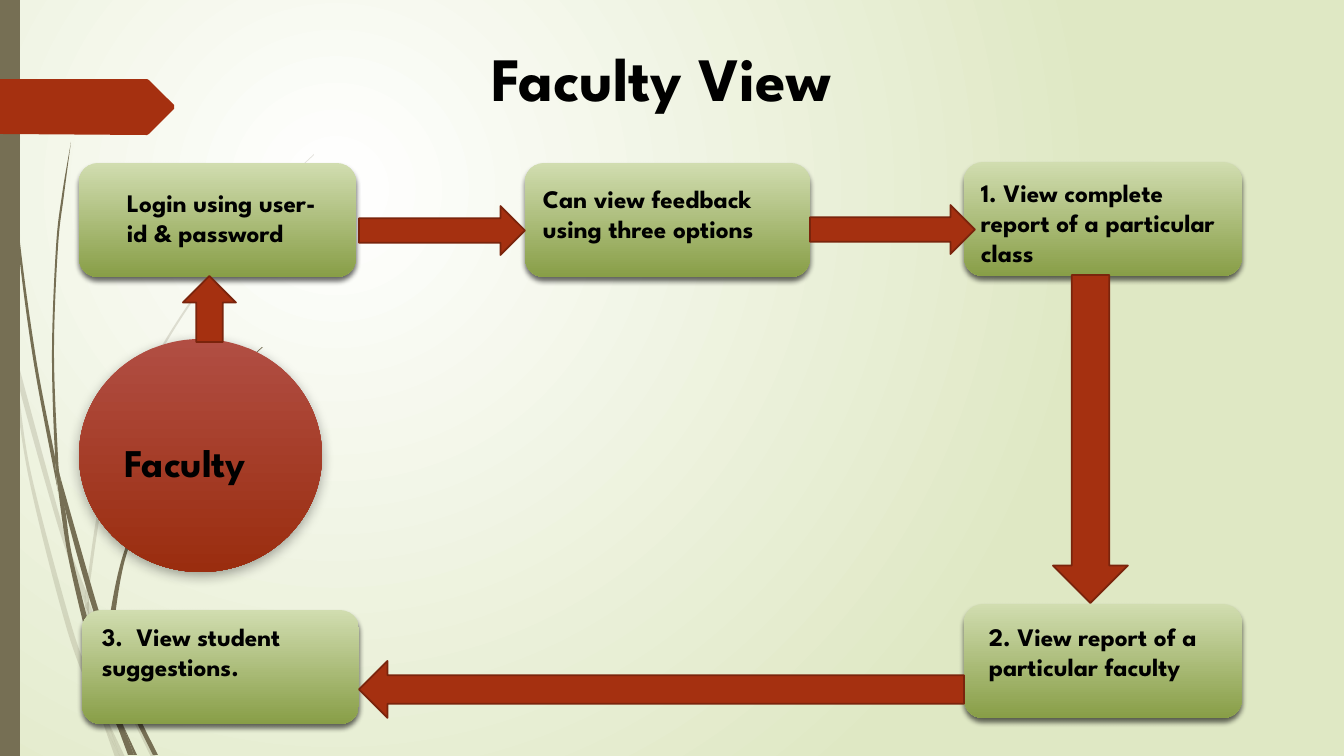
from lxml.etree import SubElement
from pptx import Presentation
from pptx.dml.color import RGBColor
from pptx.enum.shapes import MSO_SHAPE
from pptx.enum.text import MSO_ANCHOR, MSO_AUTO_SIZE, PP_ALIGN
from pptx.oxml.ns import qn
from pptx.util import Emu, Pt

COLORS = {
    "white": "FFFFFF", "black": "000000", "meadow": "DFE8C4", "stem": "766F54",
    "rust": "A53010", "rust_edge": "7A240C", "leaf_top": "D1DDB0",
    "leaf_bottom": "889E47", "clay_top": "B14E43", "clay_bottom": "9A2D0F",
}
FONT = "League Spartan"
PX = 914400 / 100.8
SLIDE_W, SLIDE_H = 1344, 756

PALE_BLADES = [
    ([(11, 353), (9, 325), (0, 284)], [(0, 301), (10, 347), (11, 353)]),
    ([(14, 348), (17, 379), (58, 526), (85, 604)], [(86, 591), (62, 524), (14, 348)]),
    ([(89, 601), (89, 615), (124, 700), (151, 757)],
     [(156, 757), (128, 698), (93, 612), (89, 601)]),
    ([(106, 717), (120, 757)], [(125, 757), (106, 717)]),
    ([(11, 353), (28, 474), (66, 626), (93, 699), (102, 720)],
     [(100, 713), (94, 688), (71, 624), (31, 473), (17, 379), (11, 353)]),
    ([(85, 604), (88, 651), (94, 688), (97, 698), (106, 717)],
     [(104, 712), (92, 651), (89, 615), (89, 613), (85, 604)]),
    ([(89, 589), (111, 466), (161, 352), (231, 247), (270, 200), (292, 176), (314, 155)],
     [(314, 154), (291, 176), (270, 199), (230, 246), (159, 351), (108, 465),
      (86, 589), (86, 591), (89, 601), (89, 589)]),
    ([(102, 720), (115, 757)], [(120, 757), (102, 720)]),
    ([(89, 613), (89, 615), (89, 601)], [(86, 591), (85, 604), (89, 613)]),
    ([(94, 688), (100, 713), (102, 720), (120, 757)],
     [(120, 757), (106, 717), (97, 698), (94, 688)]),
]
DARK_BLADES = [
    ([(3, 0), (4, 48), (7, 111), (17, 235), (33, 358), (56, 481), (57, 485)],
     [(55, 461), (55, 457), (36, 358), (19, 234), (8, 110), (5, 48), (4, 0)]),
    ([(60, 476), (65, 509), (89, 597), (107, 650)],
     [(107, 638), (107, 636), (94, 595), (60, 476)]),
    ([(111, 646), (112, 661), (133, 714), (153, 755)],
     [(158, 755), (137, 712), (114, 654), (111, 646)]),
    ([(57, 481), (69, 561), (94, 664), (112, 714), (118, 728)],
     [(117, 723), (111, 697), (99, 662), (73, 560), (65, 509), (57, 481)]),
    ([(71, 142), (62, 195), (56, 247), (52, 352), (55, 453), (60, 476)],
     [(60, 476), (58, 457), (54, 352), (58, 247), (64, 195), (71, 142)]),
    ([(123, 725), (134, 755)], [(137, 755), (123, 725)]),
    ([(55, 453), (55, 457), (57, 481), (65, 509)], [(60, 476), (55, 453)]),
    ([(112, 638), (126, 556), (159, 480), (207, 409), (233, 377), (247, 362), (263, 347)],
     [(262, 347), (247, 361), (233, 376), (206, 408), (157, 478), (123, 555),
      (107, 636), (111, 646), (112, 638)]),
    ([(118, 728), (128, 755)], [(132, 755), (118, 728)]),
    ([(107, 650), (111, 697), (117, 712), (123, 725)],
     [(122, 722), (112, 661), (110, 656), (107, 650)]),
    ([(107, 650), (110, 656), (112, 661)], [(111, 646), (107, 636), (107, 638), (107, 650)]),
    ([(111, 697), (117, 723), (118, 728), (131, 755)],
     [(134, 755), (123, 725), (117, 712), (111, 697)]),
]
SPINE = (0, 0, 20, 756)
FLAG = [(0, 79), (147, 79), (149, 80), (174, 105), (174, 109), (149, 134), (147, 135), (0, 134)]

TITLE = ("Faculty View", (460, 35, 403, 85))
ACTOR = ("Faculty", (79, 339, 243, 233))
STEPS = [
    ("Login using user-id & password", (79, 163, 277, 114), (117, 182, 226, 72)),
    ("Can view feedback using three options", (525, 163, 285, 114), (533, 178, 293, 72)),
    ("1. View complete report of a particular class", (964, 162, 278, 114), (971, 172, 275, 102)),
    ("2. View report of a particular faculty", (964, 604, 278, 114), (979, 616, 235, 102)),
    ("3.  View student suggestions.", (82, 610, 277, 114), (92, 616, 257, 72)),
]
ARROWS = [
    (MSO_SHAPE.DOWN_ARROW, (1053, 275, 75, 328)),
    (MSO_SHAPE.LEFT_ARROW, (359, 661, 605, 57)),
    (MSO_SHAPE.RIGHT_ARROW, (359, 206, 166, 49)),
    (MSO_SHAPE.RIGHT_ARROW, (810, 205, 165, 49)),
    (MSO_SHAPE.UP_ARROW, (183, 276, 53, 66)),
]
LEAF_SHADOW = {"alpha": 60, "blur": 4, "distance": 3}
CLAY_SHADOW = {"alpha": 35, "blur": 9, "distance": 3}


def color(name):
    return RGBColor.from_string(COLORS[name])


def emu(lengths):
    return [Emu(round(length * PX)) for length in lengths]


def fill_gradient(fill, *names):
    fill.gradient()
    for stop, name in zip(fill.gradient_stops, names):
        stop.color.rgb = color(name)


def fill_plain(shape, name, alpha=100):
    shape.shadow.inherit = False
    shape.fill.solid()
    shape.fill.fore_color.rgb = color(name)
    shape.line.fill.background()
    if alpha < 100:
        tint = shape._element.spPr.find(".//" + qn("a:srgbClr"))
        SubElement(tint, qn("a:alpha"), val=str(alpha * 1000))


def add_outline(shapes, points):
    corners = [emu(point) for point in points]
    builder = shapes.build_freeform(*corners[0], scale=1.0)
    builder.add_line_segments(corners[1:], close=True)
    return builder.convert_to_shape()


def curve_points(side):
    padded = [side[0], *side, side[-1]]
    points = []
    for a, b, c, d in zip(padded, padded[1:], padded[2:], padded[3:]):
        points.append([q + (r - p) / 6 for p, q, r in zip(a, b, c)])
        points.append([r - (s - q) / 6 for q, r, s in zip(b, c, d)])
        points.append(c)
    return points


def add_blade(shapes, down, back):
    tip = curve_points([down[-1], back[0]]) if down[-1] != back[0] else []
    blade = add_outline(shapes, [down[0], *curve_points(down), *tip, *curve_points(back)])
    route = blade._element.spPr.find(".//" + qn("a:path"))
    lines = route.findall(qn("a:lnTo"))
    for trio in zip(lines[::3], lines[1::3], lines[2::3]):
        curve = SubElement(route, qn("a:cubicBezTo"))
        for line in trio:
            curve.append(line[0])
            route.remove(line)
    route.append(route.find(qn("a:close")))
    return blade


def add_body(slide, kind, box, stops, shadow):
    body = slide.shapes.add_shape(kind, *emu(box))
    fill_gradient(body.fill, *stops)
    body.fill.gradient_angle = 270
    body.line.fill.background()
    body.shadow.inherit = False
    effects = body._element.spPr.find(qn("a:effectLst"))
    outer = SubElement(effects, qn("a:outerShdw"), blurRad=str(Pt(shadow["blur"])),
                       dist=str(Pt(shadow["distance"])), dir="5400000", rotWithShape="0")
    tint = SubElement(outer, qn("a:srgbClr"), val=COLORS["black"])
    SubElement(tint, qn("a:alpha"), val=str(shadow["alpha"] * 1000))
    return body


def write(frame, words, size, align=PP_ALIGN.LEFT, **frame_format):
    for key, value in frame_format.items():
        setattr(frame, key, value)
    paragraph = frame.paragraphs[0]
    paragraph.alignment = align
    run = paragraph.add_run()
    run.text = words
    for key, value in {"name": FONT, "size": Pt(size), "bold": True}.items():
        setattr(run.font, key, value)
    run.font.color.rgb = color("black")


def add_label(slide, words, box, size, **text_format):
    label = slide.shapes.add_textbox(*emu(box))
    write(label.text_frame, words, size,
          auto_size=MSO_AUTO_SIZE.SHAPE_TO_FIT_TEXT, **text_format)


def paint_backdrop(slide):
    fill_gradient(slide.background.fill, "white", "meadow")
    gradient = slide._element.find(".//" + qn("a:gradFill"))
    gradient.remove(gradient.find(qn("a:lin")))
    circle = SubElement(gradient, qn("a:path"), {"path": "circle"})
    SubElement(circle, qn("a:fillToRect"), l="50000", t="50000", r="100000", b="100000")
    for blades, alpha in ((PALE_BLADES, 20), (DARK_BLADES, 100)):
        tuft = slide.shapes.add_group_shape()
        for down, back in blades:
            fill_plain(add_blade(tuft.shapes, down, back), "stem", alpha)
    fill_plain(slide.shapes.add_shape(MSO_SHAPE.RECTANGLE, *emu(SPINE)), "stem")
    fill_plain(add_outline(slide.shapes, FLAG), "rust")


def main():
    deck = Presentation()
    deck.slide_width, deck.slide_height = emu((SLIDE_W, SLIDE_H))
    slide = deck.slides.add_slide(deck.slide_layouts[6])
    paint_backdrop(slide)
    add_label(slide, *TITLE, 44, align=PP_ALIGN.CENTER, word_wrap=False)
    for _, box, _ in STEPS:
        add_body(slide, MSO_SHAPE.ROUNDED_RECTANGLE, box, ("leaf_top", "leaf_bottom"), LEAF_SHADOW)
    actor_name, actor_box = ACTOR
    actor = add_body(slide, MSO_SHAPE.OVAL, actor_box, ("clay_top", "clay_bottom"), CLAY_SHADOW)
    write(actor.text_frame, actor_name, 28, word_wrap=True,
          vertical_anchor=MSO_ANCHOR.MIDDLE, margin_top=emu([17])[0])
    for kind, box in ARROWS:
        arrow = slide.shapes.add_shape(kind, *emu(box))
        fill_plain(arrow, "rust")
        arrow.line.color.rgb = color("rust_edge")
        arrow.line.width = Pt(1.25)
    for words, _, box in STEPS:
        add_label(slide, words, box, 18, word_wrap=True)
    deck.save("out.pptx")


if __name__ == "__main__":
    main()
